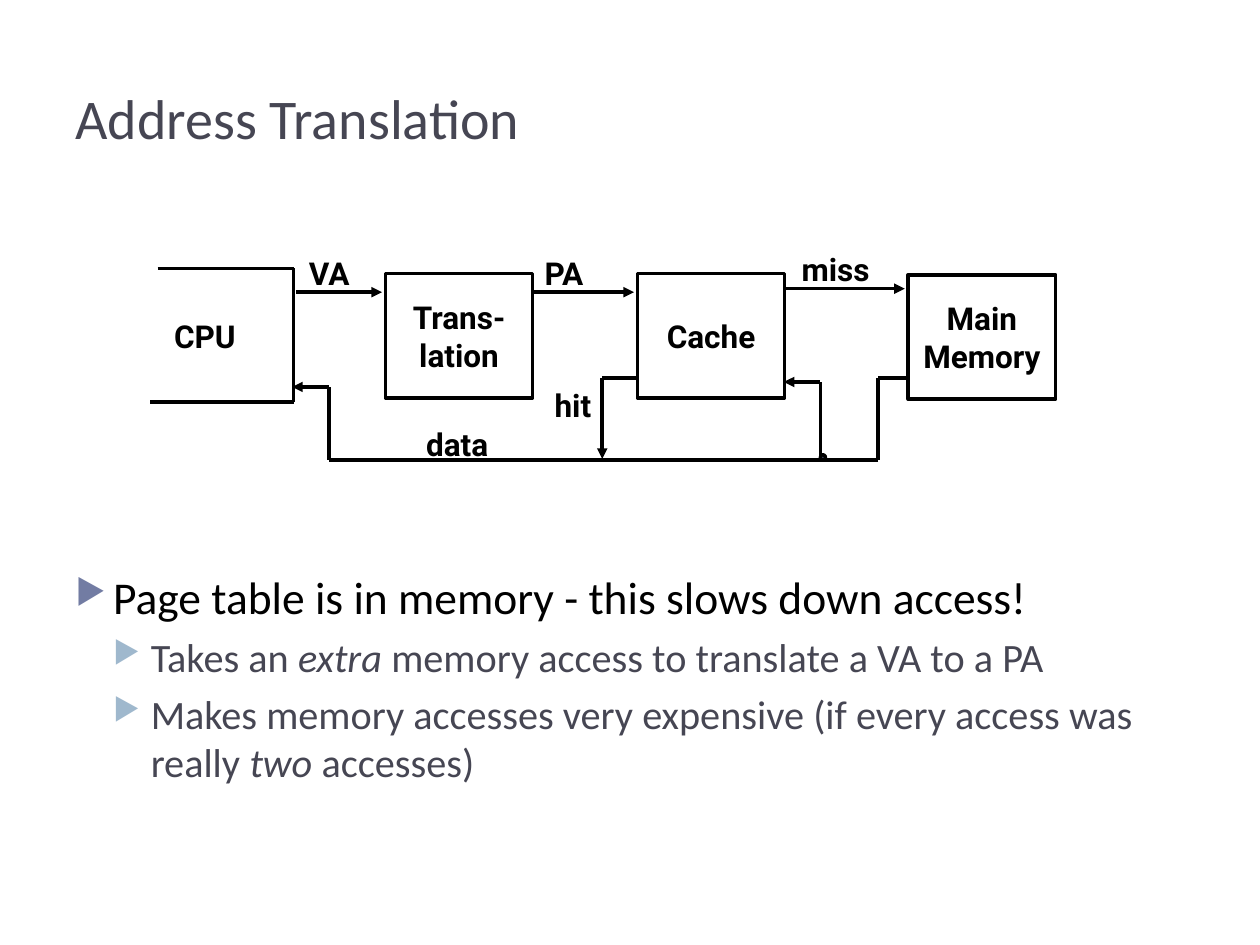
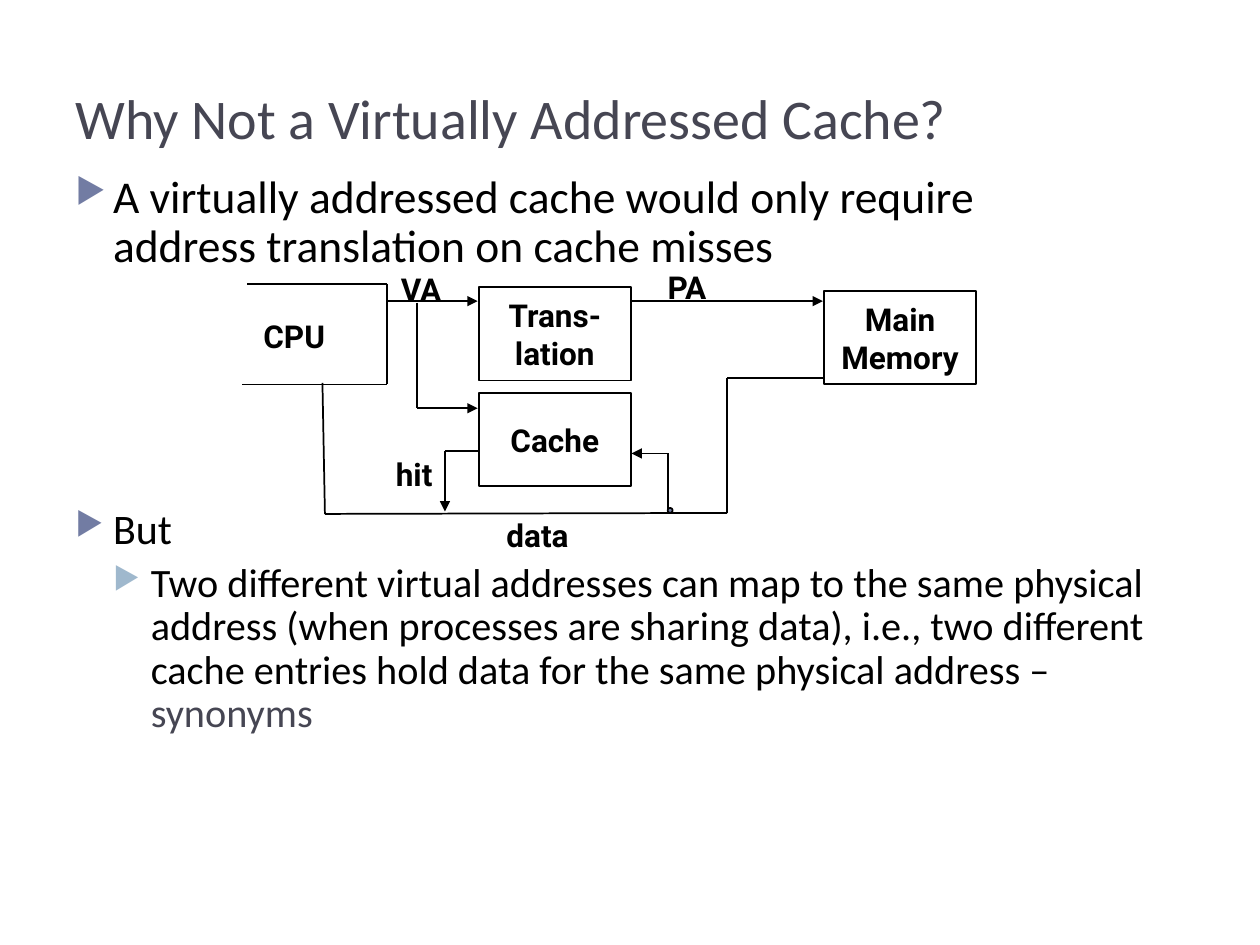
from itertools import pairwise

from lxml import etree
from pptx import Presentation
from pptx.dml.color import RGBColor
from pptx.enum import shapes, text
from pptx.oxml.ns import qn
from pptx.util import Cm, Pt

BLACK = RGBColor(0x00, 0x00, 0x00)
SLATE = RGBColor(0x46, 0x46, 0x53)
INDIGO = RGBColor(0x72, 0x7C, 0xA3)
SKY = RGBColor(0x9F, 0xB8, 0xCD)

# Text styles
TITLE = dict(name="Calibri", size=Pt(32), color=SLATE)
POINT = dict(name="Calibri", size=Pt(26), color=BLACK)
SHORT = {**POINT, "size": Pt(24)}
SUB = {**POINT, "size": Pt(23)}
SUB_SLATE = {**SUB, "color": SLATE}
SUB_ITALIC = {**SUB_SLATE, "italic": True}
DIAGRAM = dict(name="Roboto", size=Pt(18), bold=True, color=BLACK)

# Bullet levels: indent (cm), colour, default space before (pt)
LEVELS = [(0.76, INDIGO, 6), (1.52, SKY, 5)]
BULLET_HANG = 0.76
LABEL_WIDTH = {"CPU": 1.7, "VA": 1.24, "PA": 1.24, "miss": 1.8, "hit": 1.12, "data": 1.65}
LABEL_HEIGHT = 0.79

# Content, with diagram places in cm; each wire is (points, ends in an arrow)
SLIDES = [
    dict(
        title="Address Translation",
        body_top=11.35, line_spacing=1.0,
        body=[
            (0, None, [("Page table is in memory - this slows down access!", POINT)]),
            (1, None, [("Takes an ", SUB_SLATE), ("extra", SUB_ITALIC),
                       (" memory access to translate a VA to a PA", SUB_SLATE)]),
            (1, None, [("Makes memory accesses very expensive (if every access was really ", SUB_SLATE),
                       ("two", SUB_ITALIC), (" accesses)", SUB_SLATE)]),
        ],
        weight=2,
        box_size=(2.97, 2.51),
        boxes=[("Trans-\nlation", 7.77, 5.51), ("Cache", 12.85, 5.51), ("Main\nMemory", 18.31, 5.54)],
        wires=[
            ([(3.18, 5.41), (5.92, 5.41), (5.92, 8.1), (3.02, 8.1)], False),
            ([(5.97, 5.89), (7.7, 5.89)], True),
            ([(10.72, 5.89), (12.78, 5.89)], True),
            ([(15.85, 5.82), (18.24, 5.82)], True),
            ([(18.31, 7.62), (17.7, 7.62), (17.7, 9.27), (6.63, 9.27), (6.63, 7.8), (5.89, 7.8)], True),
            ([(16.54, 9.27), (16.54, 7.7), (15.8, 7.7)], True),
            ([(12.85, 7.62), (12.14, 7.62), (12.14, 9.25)], True),
        ],
        junction=(16.54, 9.17),
        labels=[("CPU", 3.33, 6.43), ("VA", 6.05, 5.16), ("PA", 10.8, 5.16),
                ("miss", 15.98, 5.08), ("hit", 11.0, 7.82), ("data", 8.41, 8.61)],
    ),
    dict(
        title="Why Not a Virtually Addressed Cache?",
        body_top=3.38, line_spacing=0.9,
        body=[
            (0, None, [("A virtually addressed cache would only require\n"
                        "address translation on cache misses", POINT)]),
            (0, 135, [("But", SHORT)]),  # room for the diagram
            (1, None, [("Two different virtual addresses can map to the same physical address "
                        "(when processes are sharing data), i.e., two different cache entries "
                        "hold data for the same physical address – ", SUB), ("synonyms", SUB_SLATE)]),
        ],
        weight=1,
        box_size=(3.07, 1.88),
        boxes=[("Trans-\nlation", 9.65, 5.79), ("Cache", 9.65, 7.92), ("Main\nMemory", 16.61, 5.87)],
        wires=[
            ([(4.98, 5.72), (7.8, 5.72), (7.8, 7.75), (4.88, 7.75)], False),
            ([(7.82, 6.07), (9.63, 6.07)], True),
            ([(12.75, 6.07), (16.59, 6.07)], True),
            ([(8.41, 6.1), (8.41, 8.23), (9.63, 8.23)], True),
            ([(16.59, 7.62), (14.66, 7.62), (14.66, 10.34), (6.55, 10.36), (6.5, 7.72)], False),
            ([(13.46, 10.34), (13.46, 9.14), (12.73, 9.14)], True),
            ([(9.65, 9.09), (8.97, 9.09), (8.97, 10.31)], True),
        ],
        junction=(13.46, 10.24),
        labels=[("CPU", 5.13, 6.43), ("VA", 7.9, 5.49), ("PA", 13.28, 5.44),
                ("hit", 7.8, 9.22), ("data", 10.03, 10.44)],
    ),
]


def set_attrs(obj, values):
    for name, value in values.items():
        setattr(obj, name, value)


def add_text(p, content, style):
    for i, line in enumerate(content.split("\n")):
        if i:
            p.add_line_break()
        r = p.add_run()
        r.text = line
        set_attrs(r.font, {k: v for k, v in style.items() if k != "color"})
        r.font.color.rgb = style["color"]


def add_box(s, left, top, width, height, **frame):
    tf = s.shapes.add_textbox(Cm(left), Cm(top), Cm(width), Cm(height)).text_frame
    set_attrs(tf, frame)
    return tf


def add_bullet(p, color):
    pPr = p._p.get_or_add_pPr()
    clr = etree.SubElement(pPr, qn("a:buClr"))
    etree.SubElement(clr, qn("a:srgbClr"), val=str(color))
    etree.SubElement(pPr, qn("a:buSzPct"), val="76000")
    etree.SubElement(pPr, qn("a:buChar"), char="▶")


def add_body(s, top, line_spacing, body):
    tf = add_box(s, 1.27, top, 22.86, 17.09 - top, word_wrap=True)
    for i, (level, gap, runs) in enumerate(body):
        indent, color, before = LEVELS[level]
        p = tf.add_paragraph() if i else tf.paragraphs[0]
        set_attrs(p, dict(level=level, line_spacing=line_spacing, space_before=Pt(gap or before)))
        pPr = p._p.get_or_add_pPr()
        pPr.set("marL", str(Cm(indent)))
        pPr.set("indent", str(-Cm(BULLET_HANG)))
        add_bullet(p, color)
        for content, style in runs:
            add_text(p, content, style)


def set_line(sp, weight):
    sp.line.color.rgb = BLACK
    sp.line.width = Pt(weight)


def add_wire(s, points, arrow, weight):
    segments = list(pairwise(points))
    for i, (start, end) in enumerate(segments, 1):
        sp = s.shapes.add_connector(shapes.MSO_CONNECTOR.STRAIGHT, *map(Cm, start + end))
        set_line(sp, weight)
        spPr = sp._element.spPr
        if arrow and i == len(segments):
            etree.SubElement(spPr.find(qn("a:ln")), qn("a:tailEnd"), type="triangle")
        etree.SubElement(spPr, qn("a:effectLst"))


def add_outline(s, kind, left, top, width, height, weight):
    sp = s.shapes.add_shape(kind, Cm(left), Cm(top), Cm(width), Cm(height))
    sp.shadow.inherit = False
    set_line(sp, weight)
    return sp


def add_diagram(s, d):
    weight = d["weight"]
    # Units
    for name, left, top in d["boxes"]:
        sp = add_outline(s, shapes.MSO_SHAPE.RECTANGLE, left, top, *d["box_size"], weight)
        sp.fill.background()
        tf = sp.text_frame
        set_attrs(tf, dict(word_wrap=False, vertical_anchor=text.MSO_ANCHOR.MIDDLE))
        for i, line in enumerate(name.split("\n")):
            p = tf.add_paragraph() if i else tf.paragraphs[0]
            p.alignment = text.PP_ALIGN.CENTER
            add_text(p, line, DIAGRAM)
    # Wires and their junction
    for points, arrow in d["wires"]:
        add_wire(s, points, arrow, weight)
    dot = add_outline(s, shapes.MSO_SHAPE.OVAL, *d["junction"], 0.1, 0.1, weight)
    dot.fill.solid()
    dot.fill.fore_color.rgb = INDIGO
    # Labels
    for name, left, top in d["labels"]:
        tf = add_box(s, left, top, LABEL_WIDTH[name], LABEL_HEIGHT, word_wrap=False,
                     auto_size=text.MSO_AUTO_SIZE.SHAPE_TO_FIT_TEXT,
                     margin_left=Cm(0.18), margin_right=Cm(0.18),
                     margin_top=Cm(0.08), margin_bottom=Cm(0.08))
        p = tf.paragraphs[0]
        p.line_spacing = 0.85
        add_text(p, name, DIAGRAM)


def main():
    prs = Presentation()
    prs.slide_width, prs.slide_height = Cm(25.4), Cm(19.05)
    for d in SLIDES:
        s = prs.slides.add_slide(prs.slide_layouts[6])
        tf = add_box(s, 1.27, 0.43, 22.86, 2.74, word_wrap=True,
                     vertical_anchor=text.MSO_ANCHOR.BOTTOM)
        add_text(tf.paragraphs[0], d["title"], TITLE)
        add_body(s, d["body_top"], d["line_spacing"], d["body"])
        add_diagram(s, d)
    prs.save("out.pptx")


if __name__ == "__main__":
    main()
